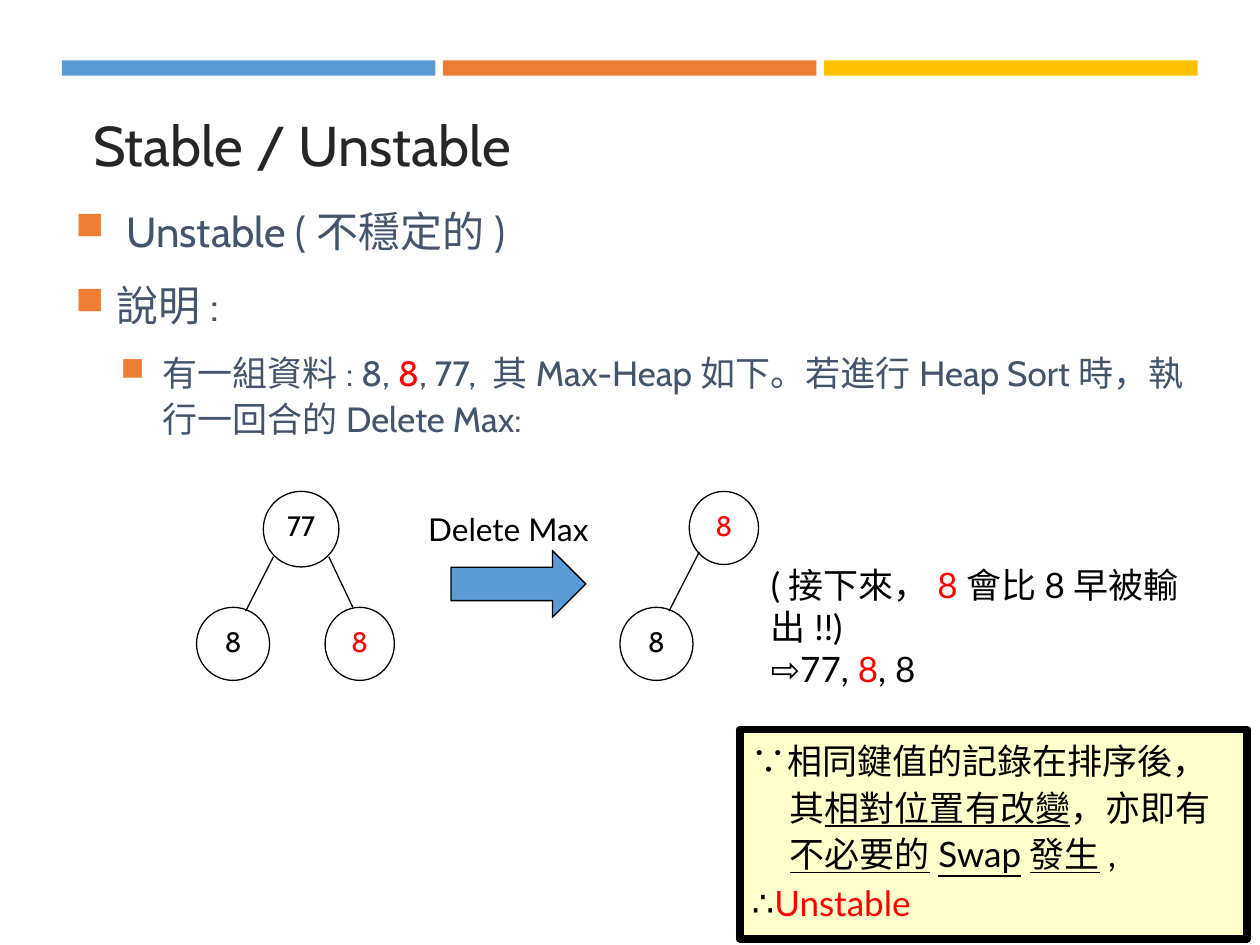
from dataclasses import dataclass

from lxml.etree import SubElement
from pptx import Presentation
from pptx.dml.color import RGBColor
from pptx.enum.shapes import MSO_CONNECTOR as Connector, MSO_SHAPE as Shape
from pptx.enum.text import MSO_ANCHOR as Anchor, PP_ALIGN as Align
from pptx.oxml.ns import qn
from pptx.util import Inches, Pt


@dataclass(frozen=True)
class Theme:
    heading_font: str = "Cabin"
    note_font: str = "Lato"
    title: int = 32
    body: int = 24
    detail: int = 20
    label: int = 18
    node: int = 16
    ink: str = "000000"
    title_ink: str = "262626"
    body_ink: str = "44546A"
    red: str = "FF0000"
    blue: str = "5B9BD5"
    orange: str = "ED7D31"
    gold: str = "FFC000"
    paper: str = "FFFFFF"
    note: str = "FFFFCC"
    hairline: float = 0.75
    frame: float = 4.5


@dataclass(frozen=True)
class Span:
    text: str
    color: str
    underline: bool = False


class SlideBuilder:
    """Places elements on a grid of 100 columns by 75 rows."""

    COLUMNS, ROWS = 100, 75

    def __init__(self, deck, theme):
        self.theme = theme
        self.slide = deck.slides.add_slide(deck.slide_layouts[6])
        self.column = deck.slide_width / self.COLUMNS
        self.row = deck.slide_height / self.ROWS

    def place(self, *cells):
        """Turn alternating columns and rows into lengths."""
        return [round(cell * (self.row if i % 2 else self.column))
                for i, cell in enumerate(cells)]

    def shape(self, kind, cells, fill, line=None, width=None, parent=None):
        shapes = (parent or self.slide).shapes
        shape = shapes.add_shape(kind, *self.place(*cells))
        shape.shadow.inherit = False
        shape.fill.solid()
        shape.fill.fore_color.rgb = RGBColor.from_string(fill)
        if line:
            shape.line.color.rgb = RGBColor.from_string(line)
            shape.line.width = Pt(width)
        else:
            shape.line.fill.background()
        return shape

    def text_box(self, cells, anchor=Anchor.TOP, wrap=True):
        box = self.slide.shapes.add_textbox(*self.place(*cells))
        box.text_frame.word_wrap = wrap
        box.text_frame.vertical_anchor = anchor
        return box

    def paragraph(self, box, spans, size, font, align=Align.LEFT, first=True):
        frame = box.text_frame
        para = frame.paragraphs[0] if first else frame.add_paragraph()
        para.alignment = align
        para.font.name = font
        para.font.size = Pt(size)
        for span in spans:
            run = para.add_run()
            run.text = span.text
            run.font.color.rgb = RGBColor.from_string(span.color)
            if span.underline:
                run.font.underline = True
        return para

    def hang(self, para, left, hanging, before, after=0):
        """Give a paragraph a hanging indent (inches) and list spacing (points)."""
        props = para._p.get_or_add_pPr()
        props.set("marL", str(Inches(left)))
        props.set("indent", str(-Inches(hanging)))
        para.line_spacing = 1.1
        para.space_before = Pt(before)
        para.space_after = Pt(after)

    def bullet(self, para):
        props = para._p.get_or_add_pPr()
        defaults = props.find(qn("a:defRPr"))
        color = SubElement(props, qn("a:buClr"))
        SubElement(color, qn("a:srgbClr"), val=self.theme.orange)
        SubElement(props, qn("a:buSzPct"), val="92000")
        SubElement(props, qn("a:buChar"), char="■")
        props.append(defaults)  # the schema wants run defaults after bullets

    def line(self, cells, parent):
        line = parent.shapes.add_connector(Connector.STRAIGHT, *self.place(*cells))
        line.line.color.rgb = RGBColor.from_string(self.theme.ink)
        line.line.width = Pt(self.theme.hairline)
        SubElement(line._element.spPr, qn("a:effectLst"))

    def tree(self, nodes, edges):
        theme = self.theme
        group = self.slide.shapes.add_group_shape()
        for key, color, cells in nodes:
            node = self.shape(Shape.OVAL, cells, theme.paper, theme.ink,
                              theme.hairline, group)
            node.text_frame.word_wrap = False
            node.text_frame.vertical_anchor = Anchor.TOP
            self.paragraph(node, [Span(key, color)], theme.node,
                           theme.heading_font, Align.CENTER)
        for cells in edges:
            self.line(cells, group)


def main():
    theme = Theme()
    deck = Presentation()
    deck.slide_width, deck.slide_height = Inches(10), Inches(7.5)
    page = SlideBuilder(deck, theme)
    ink, red, body_ink = theme.ink, theme.red, theme.body_ink

    for index, color in enumerate((theme.blue, theme.orange, theme.gold)):
        page.shape(Shape.RECTANGLE, (4.9 + index * 30.25, 4.8, 29.65, 1.2), color)

    title = page.text_box((6.4, 7.5, 87.4, 7.9), Anchor.MIDDLE)
    page.paragraph(title, [Span("Stable / Unstable", theme.title_ink)],
                   theme.title, theme.heading_font)

    body = page.text_box((5, 15.4, 90.7, 55.9))
    points = [
        (0, theme.body, [Span(" Unstable (不穩定的)", body_ink)]),
        (0, theme.body, [Span("說明:", body_ink)]),
        (1, theme.detail, [
            Span("有一組資料: 8, ", body_ink), Span("8", red),
            Span(", 77, 其Max-Heap如下。若進行Heap Sort時，執行一回合的Delete Max:",
                 body_ink)]),
    ]
    for index, (level, size, spans) in enumerate(points):
        para = page.paragraph(body, spans, size, theme.heading_font,
                              first=index == 0)
        para.level = level
        page.hang(para, 0.33 + 0.36 * level, 0.33, size * 0.2, 6)
        page.bullet(para)

    reason = page.shape(Shape.RECTANGLE, (58.7, 57.9, 40.3, 16.6), theme.note,
                        ink, theme.frame)
    reason.text_frame.word_wrap = True
    reason.text_frame.vertical_anchor = Anchor.TOP
    reasons = [
        [Span("∵相同鍵值的記錄在排序後，其", ink), Span("相對位置有改變", ink, True),
         Span("，亦即有", ink), Span("不必要的Swap發生", ink, True), Span(",", ink)],
        [Span("∴", ink), Span("Unstable", red)],
    ]
    for index, spans in enumerate(reasons):
        para = page.paragraph(reason, spans, theme.detail, theme.note_font,
                              first=index == 0)
        page.hang(para, 0.3, 0.3, theme.detail * 0.1)

    page.tree(
        nodes=[("77", ink, (20.9, 39, 6, 6)),
               ("8", ink, (15.6, 48.2, 5.8, 5.8)),
               ("8", red, (25.8, 48.2, 5.5, 5.8))],
        edges=[(21.7, 44.2, 19.5, 48.5), (26.1, 44.2, 28, 48.2)])
    page.shape(Shape.RIGHT_ARROW, (35.8, 43.7, 10.7, 5.3), theme.blue,
               ink, theme.hairline)
    page.tree(
        nodes=[("8", ink, (49.2, 48.2, 5.8, 5.8)),
               ("8", red, (54.7, 39, 5.5, 5.8))],
        edges=[(55.5, 43.8, 53.1, 48.5)])

    step = page.text_box((33, 40, 15.5, 4), wrap=False)
    page.paragraph(step, [Span("Delete Max", ink)], theme.label, theme.note_font)

    outcome = page.text_box((60.2, 44.2, 37, 7.7))
    page.paragraph(outcome, [Span("(接下來，", ink), Span("8", red),
                             Span("會比8早被輸出!!)", ink)],
                   theme.detail, theme.note_font)
    page.paragraph(outcome, [Span("⇨77, ", ink), Span("8", red), Span(", 8", ink)],
                   theme.detail, theme.note_font, first=False)

    deck.save("out.pptx")


if __name__ == "__main__":
    main()
